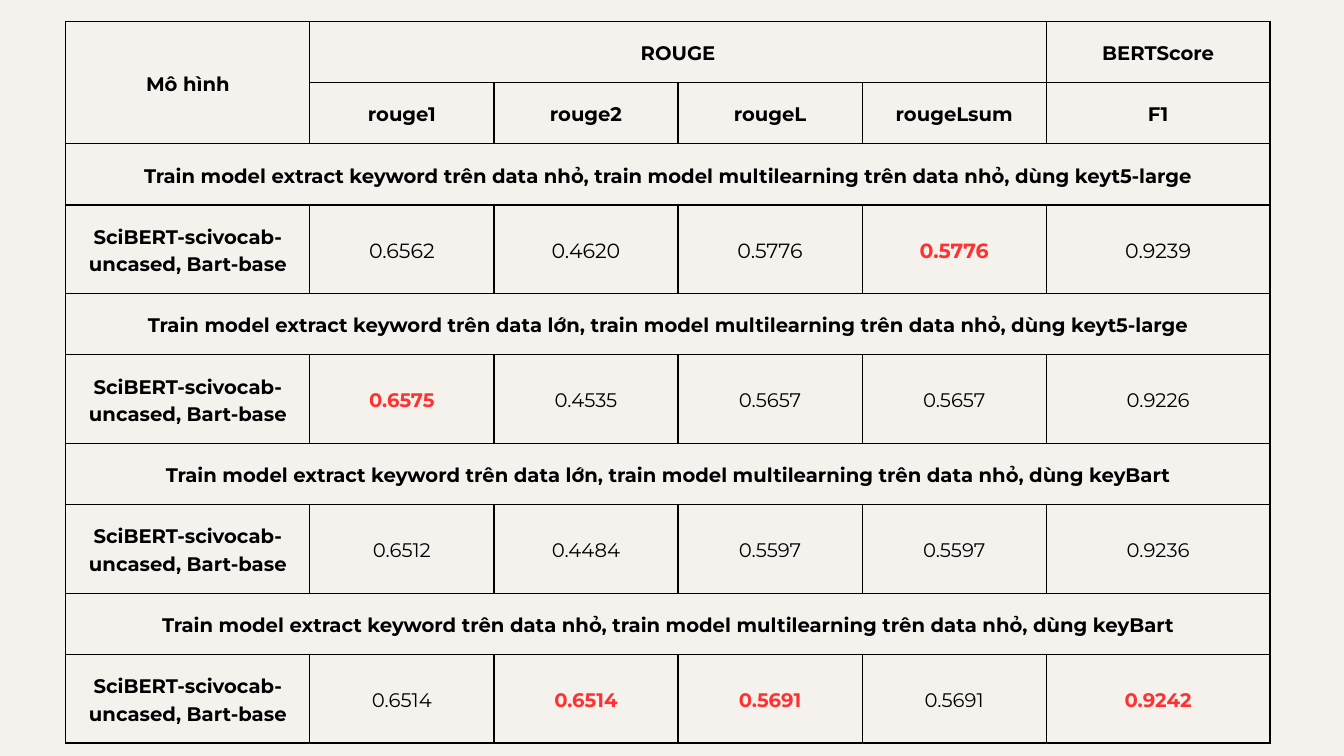
import dataclasses

import pptx
import pptx.dml.color
import pptx.enum.text
import pptx.oxml
import pptx.oxml.ns
import pptx.util


@dataclasses.dataclass(frozen=True)
class Theme:
    background: str = "F5F2EE"
    ink: str = "000000"
    best: str = "FF3131"
    font: str = "Montserrat"
    size: float = 21
    large_size: float = 22
    leading: float = 1.4
    border: float = 1.5
    inset: float = 0.21


THEME = Theme()
SLIDE_SIZE = (20, 11.25)
TABLE_ORIGIN = (0.98, 0.32)
COLUMN_WIDTHS = [3.63] + [2.74] * 4 + [3.33]
LINE_HEIGHT, RESULT_HEIGHT = 0.91, 1.32
METRICS = ["rouge1", "rouge2", "rougeL", "rougeLsum", "F1"]
MODEL = "SciBERT-scivocab-uncased, Bart-base"
EXPERIMENTS = [
    ("nhỏ", "keyt5-large", ["0.6562", "0.4620", "0.5776", "0.5776", "0.9239"], {3}, THEME.large_size),
    ("lớn", "keyt5-large", ["0.6575", "0.4535", "0.5657", "0.5657", "0.9226"], {0}, THEME.size),
    ("lớn", "keyBart", ["0.6512", "0.4484", "0.5597", "0.5597", "0.9236"], set(), THEME.size),
    ("nhỏ", "keyBart", ["0.6514", "0.6514", "0.5691", "0.5691", "0.9242"], {1, 2, 4}, THEME.size),
]


def apply_format(target, values):
    for name, value in values.items():
        setattr(target, name, value)


def color(value):
    return pptx.dml.color.RGBColor.from_string(value)


def draw_borders(cell):
    properties = cell._tc.get_or_add_tcPr()
    width = pptx.util.Pt(THEME.border)
    for side in "LRTB":
        properties.append(pptx.oxml.parse_xml(
            f'<a:ln{side} {pptx.oxml.ns.nsdecls("a")} w="{width}"><a:solidFill>'
            f'<a:srgbClr val="{THEME.ink}"/></a:solidFill></a:ln{side}>'
        ))


def write_cell(cell, text, bold=True, ink=THEME.ink, size=THEME.size):
    paragraph = cell.text_frame.paragraphs[0]
    apply_format(paragraph, {
        "alignment": pptx.enum.text.PP_ALIGN.CENTER,
        "line_spacing": pptx.util.Pt(size * THEME.leading),
    })
    run = paragraph.add_run()
    run.text = text
    apply_format(run.font, {"name": THEME.font, "size": pptx.util.Pt(size), "bold": bold})
    run.font.color.rgb = color(ink)


def add_grid(slide):
    heights = [LINE_HEIGHT] * 2 + [LINE_HEIGHT, RESULT_HEIGHT] * len(EXPERIMENTS)
    box = map(pptx.util.Inches, (*TABLE_ORIGIN, sum(COLUMN_WIDTHS), sum(heights)))
    table = slide.shapes.add_table(len(heights), len(COLUMN_WIDTHS), *box).table
    apply_format(table, {"first_row": False, "horz_banding": False})
    for column, width in zip(table.columns, COLUMN_WIDTHS):
        column.width = pptx.util.Inches(width)
    for row, height in zip(table.rows, heights):
        row.height = pptx.util.Inches(height)
    inset = pptx.util.Inches(THEME.inset)
    for cell in table.iter_cells():
        draw_borders(cell)
        cell.fill.background()
        apply_format(cell, {
            "vertical_anchor": pptx.enum.text.MSO_ANCHOR.MIDDLE,
            **{f"margin_{side}": inset for side in ("left", "right", "top", "bottom")},
        })
    return table


def write_header(table):
    table.cell(0, 0).merge(table.cell(1, 0))
    table.cell(0, 1).merge(table.cell(0, 4))
    for column, text in ((0, "Mô hình"), (1, "ROUGE"), (5, "BERTScore")):
        write_cell(table.cell(0, column), text)
    for column, metric in enumerate(METRICS, 1):
        write_cell(table.cell(1, column), metric)


def write_experiment(table, row, data, keyword_model, scores, best, size):
    table.cell(row, 0).merge(table.cell(row, len(METRICS)))
    write_cell(
        table.cell(row, 0),
        f"Train model extract keyword trên data {data}, "
        f"train model multilearning trên data nhỏ, dùng {keyword_model}",
    )
    write_cell(table.cell(row + 1, 0), MODEL)
    for index, score in enumerate(scores):
        is_best = index in best
        ink = THEME.best if is_best else THEME.ink
        write_cell(table.cell(row + 1, index + 1), score, is_best, ink, size)


def main():
    presentation = pptx.Presentation()
    width, height = map(pptx.util.Inches, SLIDE_SIZE)
    apply_format(presentation, {"slide_width": width, "slide_height": height})
    slide = presentation.slides.add_slide(presentation.slide_layouts[6])
    slide.background.fill.solid()
    slide.background.fill.fore_color.rgb = color(THEME.background)
    table = add_grid(slide)
    write_header(table)
    for index, experiment in enumerate(EXPERIMENTS):
        write_experiment(table, 2 + 2 * index, *experiment)
    presentation.save("out.pptx")


if __name__ == "__main__":
    main()
